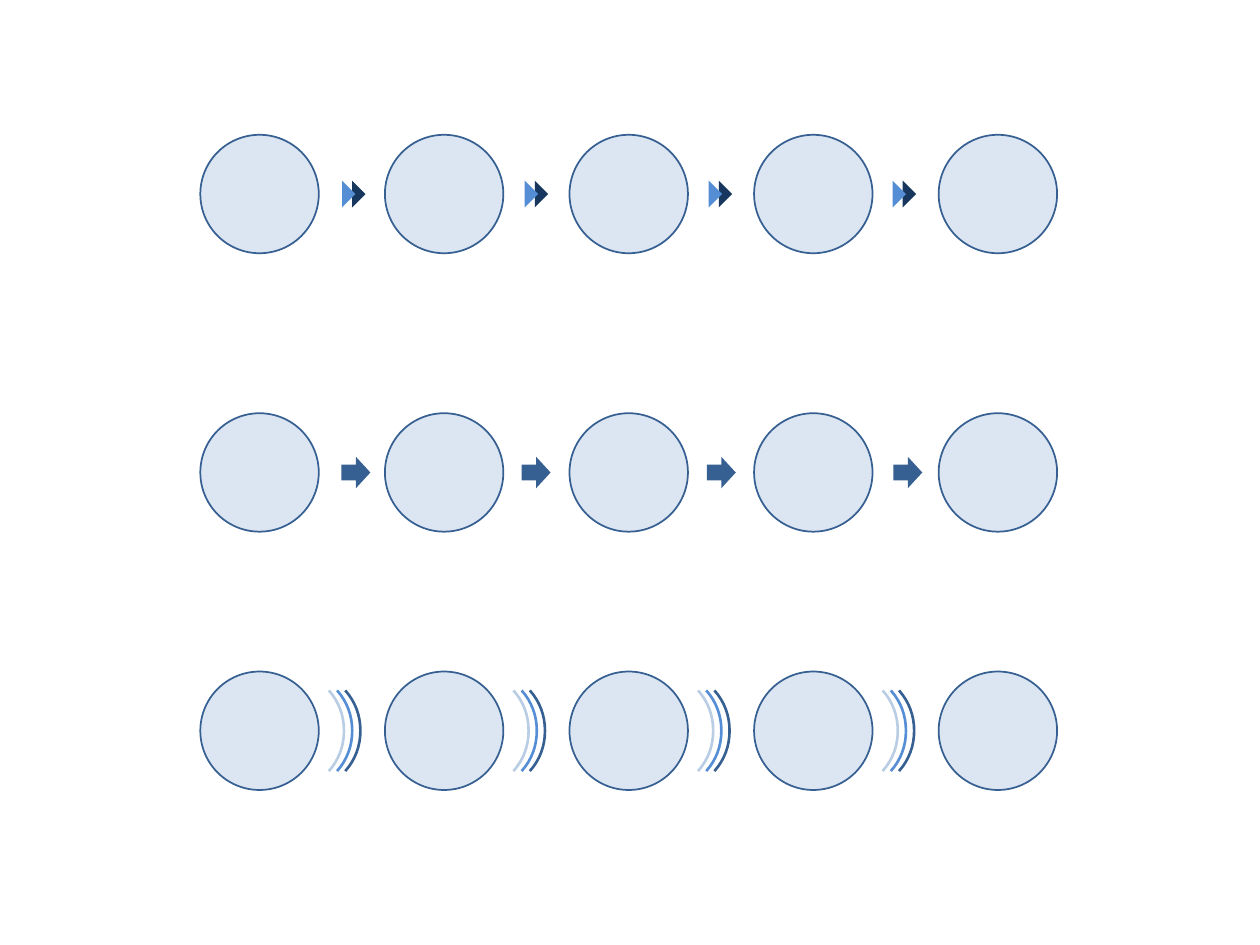
from lxml.etree import SubElement
from pptx import Presentation
from pptx.dml.color import RGBColor
from pptx.enum.shapes import MSO_SHAPE as Kind
from pptx.oxml.ns import qn
from pptx.util import Inches, Pt


class Theme:
    pale, light, mid = "DCE6F2", "B9CDE5", "558ED5"
    blue, navy = "376092", "17375E"
    rim, wave = Pt(1), Pt(1.5)


# Row middles, and the left edge of the mark in each gap between circles
ROWS = {"chevron": 1.54, "arrow": 3.75, "wave": 5.8}
COUNT, LEFT, LAST, SIZE = 5, 1.59, 7.45, 0.94
PITCH = (LAST - LEFT) / (COUNT - 1)
MARKS = {
    "chevron": [2.64, 4.09, 5.55, 7.01],
    "arrow": [2.71, 4.14, 5.61, 7.09],
    "wave": [2.61 + PITCH * gap for gap in range(COUNT - 1)],
}
# Parts of a mark, back to front, each a step further left
TIPS, TIP_STEP = [Theme.navy, Theme.mid], 0.08
WAVES, WAVE_STEP = [Theme.blue, Theme.mid, Theme.light], 0.13 / 2
TIP, ARROW = 0.15, (0.23, 0.25)
# Two Bezier curves, measured from the left end and the middle of an arc
ARC = [(0, -0.32), (0.08, -0.23), (0.12, -0.12), (0.12, 0),
       (0.12, 0.12), (0.08, 0.23), (0, 0.32)]


def rgb(code):
    return RGBColor.from_string(code)


def add(kind, left, top, width, height, fill, line=None):
    shape = shapes.add_shape(kind, *map(Inches, (left, top, width, height)))
    shape.shadow.inherit = False
    shape.fill.solid()
    shape.fill.fore_color.rgb = rgb(fill)
    if line:
        shape.line.color.rgb = rgb(line)
        shape.line.width = Theme.rim
    else:
        shape.line.fill.background()
    return shape


def shift(parts, step):
    """Pair each colour with its distance from the mark's left edge."""
    return [(step * rank, color) for rank, color in zip(reversed(range(len(parts))), parts)]


def chevron(left, mid):
    for move, color in shift(TIPS, TIP_STEP):
        tip = add(Kind.RIGHT_TRIANGLE, left + move, mid - TIP / 2, TIP, TIP, color)
        tip.element.spPr.xfrm.set("flipH", "1")
        tip.rotation = 315


def arrow(left, mid):
    width, height = ARROW
    add(Kind.RIGHT_ARROW, left, mid - height / 2, width, height, Theme.blue)


def bend(shape):
    """Turn every three line segments of an outline into one Bezier curve."""
    track = shape.element.find(".//" + qn("a:path"))
    lines = track.findall(qn("a:lnTo"))
    for first in range(0, len(lines), 3):
        curve = SubElement(track, qn("a:cubicBezTo"))
        for line in lines[first:first + 3]:
            curve.append(line[0])
            track.remove(line)


def wave(left, mid):
    group = shapes.add_group_shape()
    for move, color in shift(WAVES, WAVE_STEP):
        points = [(Inches(left + move + x), Inches(mid + y)) for x, y in ARC]
        outline = group.shapes.build_freeform(*points[0])
        outline.add_line_segments(points[1:], close=False)
        arc = outline.convert_to_shape()
        bend(arc)
        arc.shadow.inherit = False
        arc.fill.background()
        arc.line.color.rgb = rgb(color)
        arc.line.width = Theme.wave


deck = Presentation()
deck.slide_width, deck.slide_height = Inches(10), Inches(7.5)
shapes = deck.slides.add_slide(deck.slide_layouts[6]).shapes

DRAW = {"chevron": chevron, "arrow": arrow, "wave": wave}
for name, mid in ROWS.items():
    for col in range(COUNT):
        add(Kind.OVAL, LEFT + PITCH * col, mid - SIZE / 2, SIZE, SIZE, Theme.pale, Theme.blue)
    for left in MARKS[name]:
        DRAW[name](left, mid)

deck.save("out.pptx")
